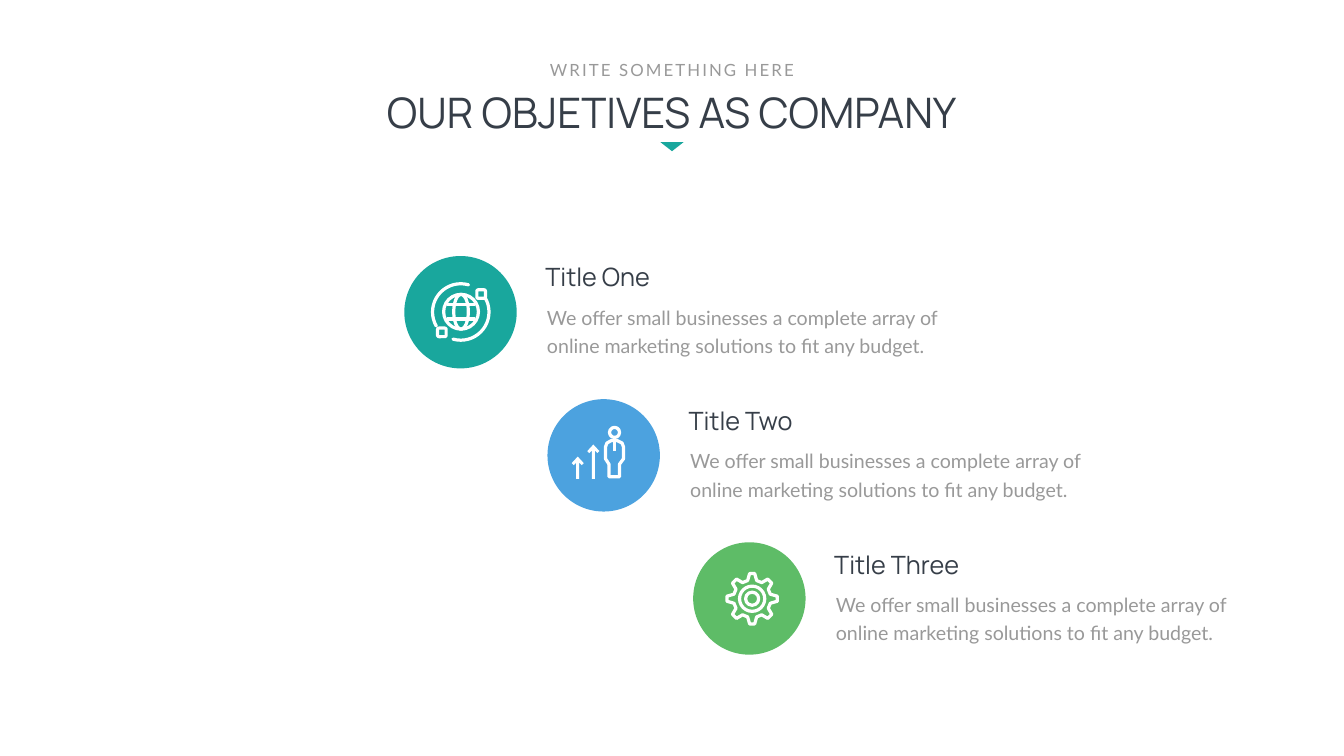
from dataclasses import dataclass
from math import cos, radians, sin

from pptx import Presentation
from pptx.dml.color import RGBColor
from pptx.enum.shapes import MSO_CONNECTOR, MSO_SHAPE
from pptx.enum.text import PP_ALIGN
from pptx.oxml.ns import qn
from pptx.oxml.xmlchemy import OxmlElement
from pptx.util import Emu, Pt

PX = 9144  # EMU per px, 100 px to the inch
OVAL, ROUNDED, ARC = MSO_SHAPE.OVAL, MSO_SHAPE.ROUNDED_RECTANGLE, MSO_SHAPE.ARC
TRIANGLE = MSO_SHAPE.ISOSCELES_TRIANGLE
STRAIGHT = MSO_CONNECTOR.STRAIGHT
LEFT, CENTER = PP_ALIGN.LEFT, PP_ALIGN.CENTER


@dataclass(frozen=True)
class Theme:
    ink: str = "363E48"
    gray: str = "999999"
    white: str = "FFFFFF"
    teal: str = "19A79D"
    blue: str = "4CA2DF"
    green: str = "5EBC67"
    head_font: str = "Manrope"
    body_font: str = "Lato"
    title: float = 60
    kicker: float = 24
    item: float = 36
    body: float = 28
    body_line: float = 40.8
    stroke: float = 4.6


T = Theme()


def px(*values):
    return [Emu(v * PX) for v in values]


# Drawing helpers
def add_text(slide, box, text, font, size, color, align=LEFT, inset=(10, 5), wrap=True):
    tf = slide.shapes.add_textbox(*px(*box)).text_frame
    tf.word_wrap = wrap
    tf.margin_left = tf.margin_right = Emu(inset[0] * PX)
    tf.margin_top = tf.margin_bottom = Emu(inset[1] * PX)
    p = tf.paragraphs[0]
    p.text = text
    p.alignment = align
    p.font.name, p.font.size = font, Pt(size)
    p.font.color.rgb = RGBColor.from_string(color)
    return p


def set_solid(sp, color):
    sp.shadow.inherit = False
    sp.fill.solid()
    sp.fill.fore_color.rgb = RGBColor.from_string(color)
    sp.line.fill.background()
    return sp


def add_solid(slide, kind, box, color):
    return set_solid(slide.shapes.add_shape(kind, *px(*box)), color)


def set_stroke(sp):
    sp.line.color.rgb = RGBColor.from_string(T.white)
    sp.line.width = Pt(T.stroke)


def set_outline(sp):
    sp.shadow.inherit = False
    sp.fill.background()
    set_stroke(sp)
    return sp


def add_outline(slide, kind, x, y, w, h):
    return set_outline(slide.shapes.add_shape(kind, *px(x, y, w, h)))


def add_polygon(slide, points):
    builder = slide.shapes.build_freeform(*points[0], scale=PX)
    builder.add_line_segments(points[1:], close=True)
    return builder.convert_to_shape()


def add_line(slide, x1, y1, x2, y2):
    line = slide.shapes.add_connector(STRAIGHT, *px(x1, y1, x2, y2))
    set_stroke(line)
    line.element.spPr.append(OxmlElement("a:effectLst"))


# Icons, placed from the top left of their circle
def globe_icon(slide, x, y):
    add_outline(slide, OVAL, x + 78, y + 76, 69, 69)
    add_outline(slide, OVAL, x + 98, y + 76, 29, 69)
    for dy in (96, 125):
        add_line(slide, x + 84, y + dy, x + 141, y + dy)
    # Two half orbits, each with a square node
    for start, end, dx, dy in ((330, 106, 144, 67), (150, 286, 66, 143)):
        arc = add_outline(slide, ARC, x + 56, y + 55, 112, 112)
        arc.adjustments[0], arc.adjustments[1] = start * 0.6, end * 0.6
        arc.element.spPr.find(qn("a:ln")).set("cap", "rnd")
        add_outline(slide, ROUNDED, x + dx, y + dy, 17, 17)


def growth_icon(slide, x, y):
    # Person
    add_outline(slide, OVAL, x + 123, y + 56, 20, 20)
    body = [(151, 118), (143, 129), (143, 154), (122, 154), (122, 129), (115, 118),
            (115, 95), (118, 87), (127, 82), (138, 82), (148, 87), (151, 95)]
    set_outline(add_polygon(slide, [(x + dx, y + dy) for dx, dy in body]))
    add_line(slide, x + 133, y + 82, x + 133, y + 102)
    # Rising arrows
    for dx, top in ((60, 114), (91, 90)):
        height = 158 - top
        arrow = [(0, 0), (-12, 13), (-8, 17), (-3, 12), (-3, height),
                 (3, height), (3, 12), (8, 17), (12, 13)]
        points = [(x + dx + ax, y + top + ay) for ax, ay in arrow]
        set_solid(add_polygon(slide, points), T.white)


def gear_icon(slide, x, y):
    cx, cy = x + 117, y + 112
    tooth = ((37, -14), (50, -6), (50, 6), (37, 14))  # radius, degrees
    points = [(cx + r * cos(radians(turn + a)), cy + r * sin(radians(turn + a)))
              for turn in range(0, 360, 45) for r, a in tooth]
    set_outline(add_polygon(slide, points))
    for radius in (25, 13):
        add_outline(slide, OVAL, cx - radius, cy - radius, 2 * radius, 2 * radius)


# Slide regions
def add_header(slide, x, y, w):
    add_text(slide, (x, y + 54, w, 111), "OUR OBJETIVES AS COMPANY",
             T.head_font, T.title, T.ink, CENTER)
    p = add_text(slide, (x + 399, y, 514, 50), "WRITE SOMETHING HERE",
                 T.body_font, T.kicker, T.gray, CENTER, wrap=False)
    p.runs[0].font._element.set("spc", "300")
    marker = add_solid(slide, TRIANGLE, (x + w // 2 - 22, y + 169, 46, 18), T.teal)
    marker.rotation = 180


def add_objective(slide, x, y, text_y, title, color, draw_icon):
    add_solid(slide, OVAL, (x, y, 223, 223), color)
    draw_icon(slide, x, y)
    add_text(slide, (x + 270, text_y, 397, 71), title, T.head_font, T.item, T.ink)
    p = add_text(slide, (x + 259, text_y + 70, 908, 133),
                 "We offer small businesses a complete array of online marketing "
                 "solutions to fit any budget.",
                 T.body_font, T.body, T.gray, inset=(24, 12))
    p.line_spacing = Pt(T.body_line)


def main():
    prs = Presentation()
    prs.slide_width, prs.slide_height = px(2666, 1500)
    slide = prs.slides.add_slide(prs.slide_layouts[6])
    add_header(slide, 677, 113, 1311)
    objectives = ((802, "Title One", T.teal, globe_icon),
                  (1086, "Title Two", T.blue, growth_icon),
                  (1375, "Title Three", T.green, gear_icon))
    for i, (x, title, color, draw_icon) in enumerate(objectives):
        add_objective(slide, x, 508 + 284 * i, 514 + 285 * i, title, color, draw_icon)
    prs.save("out.pptx")


if __name__ == "__main__":
    main()
